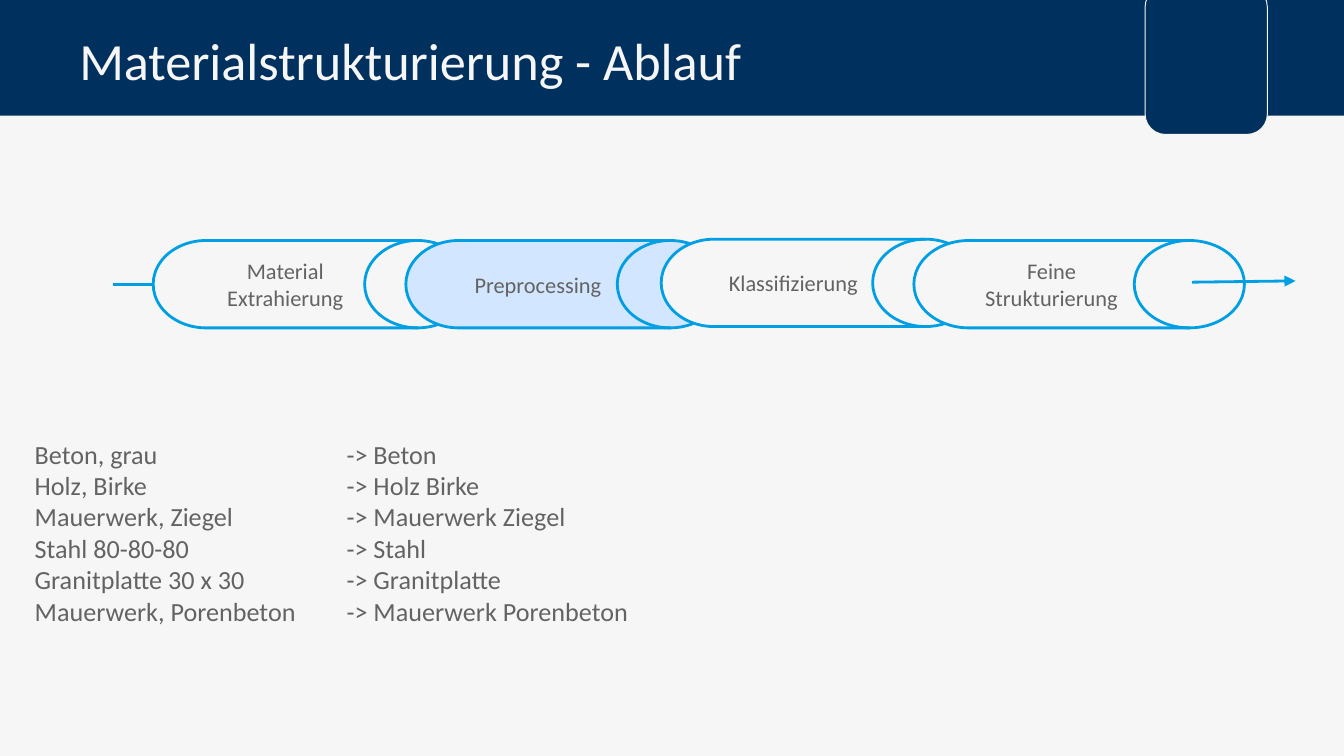
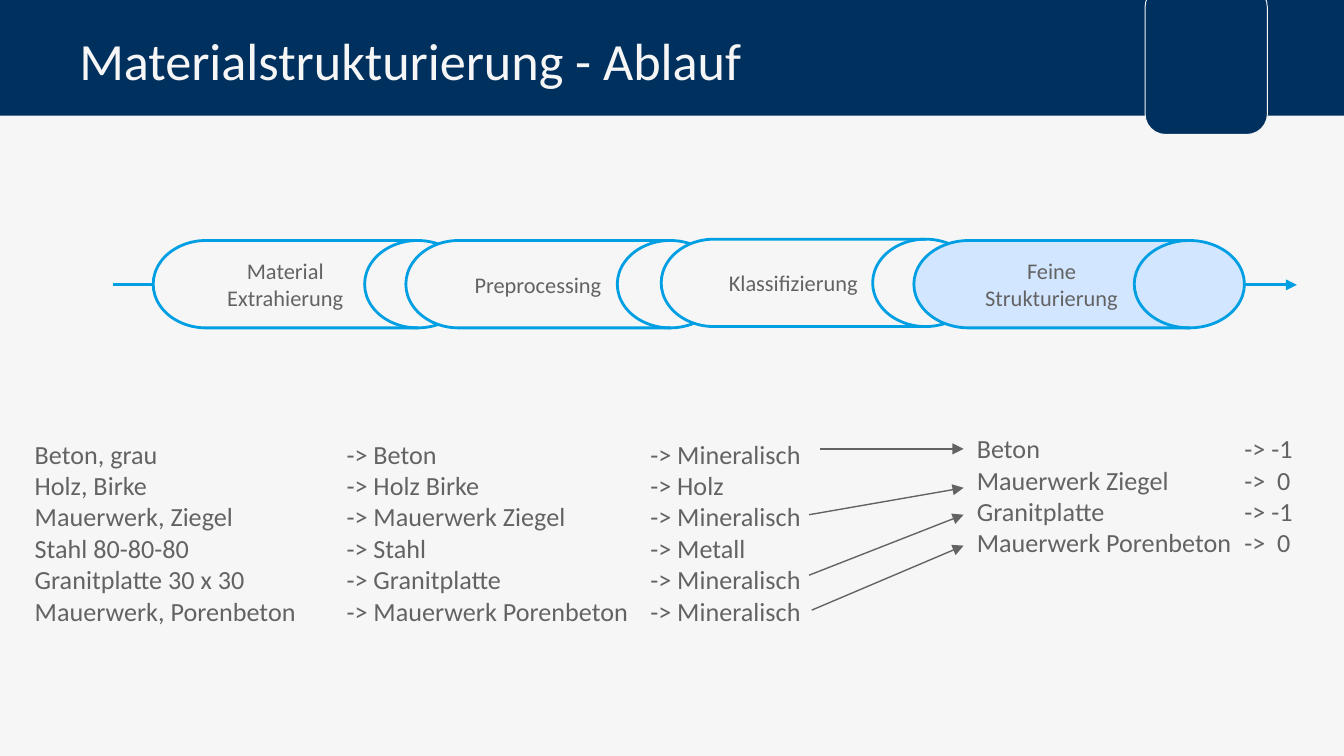
from dataclasses import dataclass

import lxml.etree
import pptx
import pptx.dml.color
import pptx.enum.shapes
import pptx.enum.text
import pptx.oxml.ns
import pptx.shapes.autoshape
import pptx.slide
import pptx.text.text
import pptx.util

NAVY = pptx.dml.color.RGBColor(0x00, 0x30, 0x5D)
PAPER = pptx.dml.color.RGBColor(0xF6, 0xF6, 0xF6)
CYAN = pptx.dml.color.RGBColor(0x00, 0x9F, 0xE3)
HIGHLIGHT = pptx.dml.color.RGBColor(0xD2, 0xE6, 0xFF)
GREY = pptx.dml.color.RGBColor(0x64, 0x63, 0x63)

FONT = "Calibri"
PAGE_WIDTH = pptx.util.Inches(10)
PAGE_HEIGHT = pptx.util.Inches(5.625)
COLUMN = PAGE_WIDTH / 100
ROW = PAGE_HEIGHT / 100

SHAPES = pptx.enum.shapes.MSO_SHAPE
ANCHOR = pptx.enum.text.MSO_ANCHOR
ALIGN = pptx.enum.text.PP_ALIGN


@dataclass(frozen=True)
class Area:
    column: float
    row: float
    columns: float
    rows: float

    def lengths(self) -> tuple[int, int, int, int]:
        return (round(self.column * COLUMN), round(self.row * ROW),
                round(self.columns * COLUMN), round(self.rows * ROW))


@dataclass(frozen=True)
class Stage:
    label: str
    area: Area


@dataclass(frozen=True)
class Listing:
    area: Area
    lines: tuple[str, ...]
    tab_columns: float = 0
    wrap: bool = True


@dataclass(frozen=True)
class Arrow:
    start: tuple[float, float]
    end: tuple[float, float]
    color: pptx.dml.color.RGBColor = GREY
    weight: float = 0.75
    head: bool = True


@dataclass(frozen=True)
class Page:
    active: str
    listings: tuple[Listing, ...]
    back_arrows: tuple[Arrow, ...]
    front_arrows: tuple[Arrow, ...]


TITLE = "Materialstrukturierung - Ablauf"
TITLE_AREA = Area(5.9, 2.31, 79.3, 10.67)
BAND_AREA = Area(-0.2, 0, 100.2, 15.3)
BADGE_AREA = Area(85.2, -1.78, 9.1, 19.56)

STAGE_ROWS = 11.56
STAGES = (
    Stage("Material Extrahierung", Area(11.4, 31.82, 23.6, STAGE_ROWS)),
    Stage("Preprocessing", Area(30.2, 31.82, 23.6, STAGE_ROWS)),
    Stage("Klassifizierung", Area(49.2, 31.64, 23.6, STAGE_ROWS)),
    Stage("Feine Strukturierung", Area(68, 31.82, 24.6, STAGE_ROWS)),
)

LIST_ROW = 57.07
LIST_ROWS = 26.84
MATERIALS = Listing(
    Area(1.6, LIST_ROW, 21.6, LIST_ROWS),
    ("Beton, grau", "Holz, Birke", "Mauerwerk, Ziegel", "Stahl 80-80-80",
     "Granitplatte 30 x 30", "Mauerwerk, Porenbeton"),
    wrap=False,
)
CLEANED = ("-> Beton", "-> Holz Birke", "-> Mauerwerk Ziegel", "-> Stahl",
           "-> Granitplatte", "-> Mauerwerk Porenbeton")
CLASSES = ("-> Mineralisch", "-> Holz", "-> Mineralisch", "-> Metall",
           "-> Mineralisch", "-> Mineralisch")
FINE_MATERIALS = ("Beton", "Mauerwerk Ziegel", "Granitplatte", "Mauerwerk Porenbeton")
FINE_RESULTS = ("-> -1", "->  0", "-> -1", "->  0")

AXIS_ROW = 37.69
ARROW_END = 71.7


def tabbed(left: tuple[str, ...], right: tuple[str, ...]) -> tuple[str, ...]:
    return tuple("\t".join(pair) for pair in zip(left, right))


PAGES = (
    Page(
        "Preprocessing",
        (MATERIALS, Listing(Area(24.8, LIST_ROW, 25.2, LIST_ROWS), CLEANED)),
        (Arrow((8.4, AXIS_ROW), (11.4, AXIS_ROW), CYAN, 1.5, head=False),),
        (Arrow((88.7, 37.33), (96.4, 37.16), CYAN, 1.5),),
    ),
    Page(
        "Feine Strukturierung",
        (
            MATERIALS,
            Listing(Area(24.8, LIST_ROW, 36.9, LIST_ROWS), tabbed(CLEANED, CLASSES), 22.6),
            Listing(Area(71.7, 56.36, 26.7, 18.49), tabbed(FINE_MATERIALS, FINE_RESULTS), 19.9),
        ),
        (Arrow((8.4, AXIS_ROW), (96.5, AXIS_ROW), CYAN, 1.5),),
        (
            Arrow((61, 59.38), (ARROW_END, 59.38)),
            Arrow((60.2, 68.09), (ARROW_END, 64.53)),
            Arrow((60.2, 76.09), (ARROW_END, 68.09)),
            Arrow((60.4, 80.71), (ARROW_END, 72.18)),
        ),
    ),
)


def style_paragraph(para: pptx.text.text._Paragraph, size: float,
                    color: pptx.dml.color.RGBColor) -> None:
    para.font.name = FONT
    para.font.size = pptx.util.Pt(size)
    para.font.color.rgb = color


def add_tab_stop(para: pptx.text.text._Paragraph, columns: float) -> None:
    properties = para._p.get_or_add_pPr()
    stops = lxml.etree.Element(pptx.oxml.ns.qn("a:tabLst"))
    lxml.etree.SubElement(stops, pptx.oxml.ns.qn("a:tab"),
                          pos=str(round(columns * COLUMN)), algn="l")
    properties.insert(0, stops)


def draw_shape(slide: pptx.slide.Slide, kind: pptx.enum.shapes.MSO_SHAPE, area: Area,
               fill: pptx.dml.color.RGBColor,
               line: pptx.dml.color.RGBColor | None = None,
               weight: float = 0) -> pptx.shapes.autoshape.Shape:
    shape = slide.shapes.add_shape(kind, *area.lengths())
    shape.shadow.inherit = False
    shape.fill.solid()
    shape.fill.fore_color.rgb = fill
    if line is None:
        shape.line.fill.background()
    else:
        shape.line.color.rgb = line
        shape.line.width = pptx.util.Pt(weight)
    return shape


def draw_stage(slide: pptx.slide.Slide, stage: Stage, active: bool) -> None:
    drum = draw_shape(slide, SHAPES.FLOWCHART_DIRECT_ACCESS_STORAGE, stage.area,
                      HIGHLIGHT if active else PAPER, CYAN, 1.5)
    frame = drum.text_frame
    frame.word_wrap = True
    frame.vertical_anchor = ANCHOR.MIDDLE
    para = frame.paragraphs[0]
    para.text = stage.label
    para.alignment = ALIGN.CENTER
    style_paragraph(para, 12, GREY)


def draw_arrow(slide: pptx.slide.Slide, arrow: Arrow) -> None:
    ends = [round(value * unit) for point in (arrow.start, arrow.end)
            for value, unit in zip(point, (COLUMN, ROW))]
    connector = slide.shapes.add_connector(
        pptx.enum.shapes.MSO_CONNECTOR.STRAIGHT, *ends)
    connector.line.color.rgb = arrow.color
    connector.line.width = pptx.util.Pt(arrow.weight)
    properties = connector._element.spPr
    if arrow.head:
        lxml.etree.SubElement(properties.find(pptx.oxml.ns.qn("a:ln")),
                              pptx.oxml.ns.qn("a:tailEnd"), type="triangle")
    lxml.etree.SubElement(properties, pptx.oxml.ns.qn("a:effectLst"))


def draw_listing(slide: pptx.slide.Slide, listing: Listing) -> None:
    box = slide.shapes.add_textbox(*listing.area.lengths())
    frame = box.text_frame
    frame.word_wrap = listing.wrap
    frame.text = "\n".join(listing.lines)
    for para in frame.paragraphs:
        style_paragraph(para, 14, GREY)
        if listing.tab_columns:
            add_tab_stop(para, listing.tab_columns)


def draw_header(slide: pptx.slide.Slide) -> None:
    slide.background.fill.solid()
    slide.background.fill.fore_color.rgb = PAPER
    draw_shape(slide, SHAPES.RECTANGLE, BAND_AREA, NAVY)
    draw_shape(slide, SHAPES.ROUNDED_RECTANGLE, BADGE_AREA, NAVY, PAPER, 0.5)
    box = slide.shapes.add_textbox(*TITLE_AREA.lengths())
    frame = box.text_frame
    frame.word_wrap = True
    frame.vertical_anchor = ANCHOR.MIDDLE
    frame.margin_left = frame.margin_right = 0
    frame.margin_top = pptx.util.Inches(0.08)
    frame.margin_bottom = pptx.util.Inches(0.05)
    frame.text = TITLE
    style_paragraph(frame.paragraphs[0], 28, PAPER)


def draw_page(slide: pptx.slide.Slide, page: Page) -> None:
    draw_header(slide)
    for arrow in page.back_arrows:
        draw_arrow(slide, arrow)
    for stage in STAGES:
        draw_stage(slide, stage, stage.label == page.active)
    for listing in page.listings:
        draw_listing(slide, listing)
    for arrow in page.front_arrows:
        draw_arrow(slide, arrow)


def main() -> None:
    deck = pptx.Presentation()
    deck.slide_width = PAGE_WIDTH
    deck.slide_height = PAGE_HEIGHT
    for page in PAGES:
        draw_page(deck.slides.add_slide(deck.slide_layouts[6]), page)
    deck.save("out.pptx")


if __name__ == "__main__":
    main()
